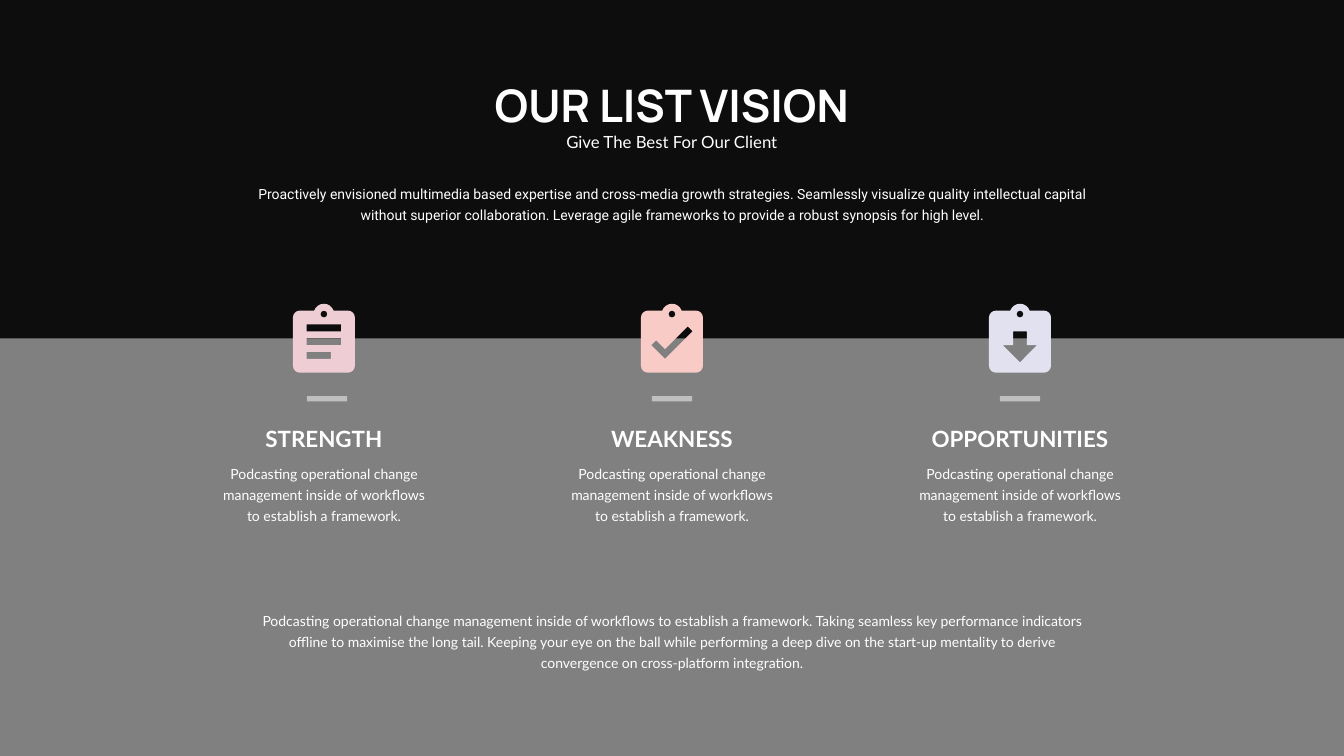
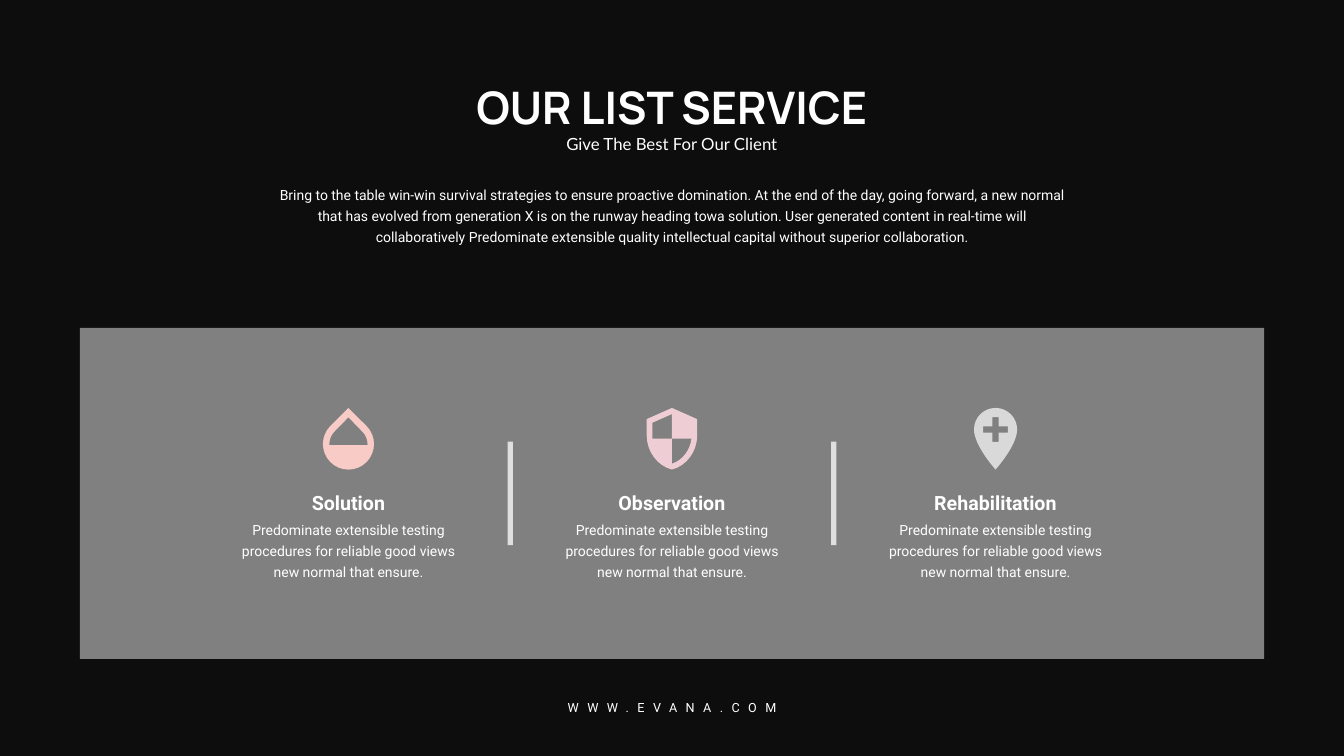
"""Build two dark slides: a list of visions and a list of services."""
from lxml import etree
from pptx import Presentation
from pptx.dml.color import RGBColor
from pptx.enum import shapes, text
from pptx.oxml.ns import qn
from pptx.util import Pt

BLACK, GREY, WHITE = "0D0D0D", "808080", "FFFFFF"
BAR, DIVIDER = "BFBFBF", "DFDFDF"
ROSE, CORAL, LILAC, SILVER = "EFCDD5", "F9CBC7", "E1E1EF", "D9D9D9"
WIDTH, HEIGHT, MID = 960, 540, 480

TITLE = {"name": "Manrope", "size": Pt(32), "bold": True}
SUBTITLE = {"name": "Lato", "size": Pt(12), "bold": False}
LATO_HEAD = {"name": "Lato", "size": Pt(16), "bold": True}
LATO_BODY = {"name": "Lato", "size": Pt(10), "bold": False}
ROBOTO_HEAD = {"name": "Roboto", "size": Pt(14), "bold": True}
ROBOTO_BODY = {"name": "Roboto", "size": Pt(10), "bold": False}
FOOTER = {"name": "Roboto", "size": Pt(9), "bold": False}


def box(left, top, right, bottom):
    """Return a rectangular contour on the icon grid."""
    return [(left, top), (right, top), (right, bottom), (left, bottom)]


BOARD = [
    [(19, 3), (14.82, 3), (14.4, 1.84, 13.3, 1, 12, 1),
     (10.7, 1, 9.6, 1.84, 9.18, 3), (5, 3), (3.9, 3, 3, 3.9, 3, 5),
     (3, 19), (3, 20.1, 3.9, 21, 5, 21), (19, 21),
     (20.1, 21, 21, 20.1, 21, 19), (21, 5), (21, 3.9, 20.1, 3, 19, 3)],
    [(12, 3), (12.55, 3, 13, 3.45, 13, 4), (13, 4.55, 12.55, 5, 12, 5),
     (11.45, 5, 11, 4.55, 11, 4), (11, 3.45, 11.45, 3, 12, 3)],
]
LIST_BOARD = BOARD + [box(7, 7, 17, 9), box(7, 11, 17, 13), box(7, 15, 14, 17)]
CHECK_BOARD = BOARD + [
    [(10, 17), (18, 9), (16.59, 7.58), (10, 14.17), (7.41, 11.59), (6, 13)]]
ARROW_BOARD = BOARD + [
    [(12, 18), (17, 13), (14, 13), (14, 9), (10, 9), (10, 13), (7, 13)]]
DROP = [
    [(17.66, 8), (12, 2.35), (6.34, 8), (4.78, 9.56, 4, 11.64, 4, 13.64),
     (4, 15.64, 4.78, 17.75, 6.34, 19.31),
     (7.9, 20.87, 9.95, 21.66, 12, 21.66),
     (14.05, 21.66, 16.1, 20.87, 17.66, 19.31),
     (19.22, 17.75, 20, 15.64, 20, 13.64), (20, 11.64, 19.22, 9.56, 17.66, 8)],
    [(6, 14), (6.01, 12, 6.62, 10.73, 7.76, 9.6), (12, 5.27), (16.24, 9.65),
     (17.38, 10.77, 17.99, 12, 18, 14)],
]
SHIELD = [
    [(12, 1), (3, 5), (3, 11), (3, 16.55, 6.84, 21.74, 12, 23),
     (17.16, 21.74, 21, 16.55, 21, 11), (21, 5)],
    [(12, 12), (19, 12), (18.47, 16.11, 15.72, 19.78, 12, 20.93)],
    [(12, 12), (5, 12), (5, 6.3), (12, 3.19)],
]
PIN = [
    [(12, 2), (8.13, 2, 5, 5.13, 5, 9), (5, 14.25, 12, 22, 12, 22),
     (12, 22, 19, 14.25, 19, 9), (19, 5.13, 15.87, 2, 12, 2)],
    [(16, 8), (13, 8), (13, 5), (11, 5), (11, 8), (8, 8),
     (8, 10), (11, 10), (11, 13), (13, 13), (13, 10), (16, 10)],
]


def color(value):
    """Turn a hex string into a colour."""
    return RGBColor.from_string(value)


def paint(sp, fill):
    """Give a shape a flat fill without line or shadow."""
    sp.shadow.inherit = False
    sp.fill.solid()
    sp.fill.fore_color.rgb = color(fill)
    sp.line.fill.background()


def add_rect(slide, left, top, width, height, fill):
    """Add a plain rectangle."""
    sp = slide.shapes.add_shape(shapes.MSO_SHAPE.RECTANGLE, Pt(left), Pt(top),
                                Pt(width), Pt(height))
    paint(sp, fill)
    return sp


def add_icon(slide, contours, center, top, unit, fill):
    """Draw grid contours as one curved outline centred on a column."""
    first_y = min(item[-1] for item in contours[0])

    def place(x, y):
        """Turn a grid point into a slide point."""
        return Pt(center + (x - 12) * unit), Pt(top + (y - first_y) * unit)

    builder = slide.shapes.build_freeform(*place(*contours[0][0]))
    for i, contour in enumerate(contours):
        if i:
            builder.move_to(*place(*contour[0]))
        builder.add_line_segments([place(*item[-2:]) for item in contour[1:]],
                                  close=True)
    sp = builder.convert_to_shape()
    items = [item for contour in contours for item in contour[1:]]
    for line, item in zip(list(sp.element.iter(qn("a:lnTo"))), items):
        if len(item) == 6:
            line.tag = qn("a:cubicBezTo")
            for i, control in enumerate((item[:2], item[2:4])):
                x, y = place(*control)
                pt = etree.Element(qn("a:pt"), x=str(x - sp.left),
                                   y=str(y - sp.top))
                line.insert(i, pt)
    paint(sp, fill)


def write(sp, content, style, spacing=None, tracking=None):
    """Fill a text shape with one centred white paragraph."""
    tf = sp.text_frame
    frame = {"word_wrap": True, "auto_size": text.MSO_AUTO_SIZE.NONE,
             "margin_left": 0, "margin_right": 0,
             "margin_top": 0, "margin_bottom": 0}
    for key, value in frame.items():
        setattr(tf, key, value)
    p = tf.paragraphs[0]
    p.alignment = text.PP_ALIGN.CENTER
    if spacing:
        p.line_spacing = Pt(spacing)
    r = p.add_run()
    r.text = content
    for key, value in style.items():
        setattr(r.font, key, value)
    r.font.color.rgb = color(WHITE)
    if tracking:
        r._r.get_or_add_rPr().set("spc", str(tracking * 100))


def add_text(slide, content, center, top, width, height, style, **options):
    """Add a text box centred on a column."""
    sp = slide.shapes.add_textbox(Pt(center - width / 2), Pt(top), Pt(width),
                                  Pt(height))
    write(sp, content, style, **options)


def add_slide(prs, title, top, subtitle_width):
    """Add a slide with its title and the shared subtitle."""
    slide = prs.slides.add_slide(prs.slide_layouts[5])
    sp = slide.shapes.title
    place = {"left": Pt(MID - 260), "top": Pt(top), "width": Pt(520),
             "height": Pt(35)}
    for key, value in place.items():
        setattr(sp, key, value)
    write(sp, title, TITLE, spacing=35)
    sp.text_frame.vertical_anchor = text.MSO_ANCHOR.MIDDLE
    add_text(slide, "Give The Best For Our Client", MID, top + 35.3,
             subtitle_width, 14.4, SUBTITLE)
    return slide


def add_backdrop(prs, slide):
    """Put the dark backdrop on the master, behind everything."""
    sp = add_rect(slide, 0, 0, WIDTH, HEIGHT, BLACK)
    sp.element.nvSpPr.cNvPr.set("id", "20")
    prs.slide_master.shapes.element.insert(2, sp.element)


def add_vision(prs):
    """Build the vision slide."""
    slide = add_slide(prs, "OUR LIST VISION", 59, 304)
    add_backdrop(prs, slide)
    add_rect(slide, 0, 241.7, WIDTH, HEIGHT - 241.7, GREY)
    add_text(slide, "Proactively envisioned multimedia based expertise and "
             "cross-media growth strategies. Seamlessly visualize quality "
             "intellectual capital without superior collaboration. Leverage "
             "agile frameworks to provide a robust synopsis for high level.",
             MID, 129.3, 599, 29, ROBOTO_BODY, spacing=15)
    columns = [("STRENGTH", LIST_BOARD, ROSE, 2.2),
               ("WEAKNESS", CHECK_BOARD, CORAL, 0),
               ("OPPORTUNITIES", ARROW_BOARD, LILAC, 0)]
    for i, (name, icon, fill, bar_shift) in enumerate(columns):
        center = MID + (i - 1) * 248.6
        add_icon(slide, icon, center, 217, 2.46, fill)
        add_rect(slide, center + bar_shift - 14.4, 283, 28.8, 3.7, BAR)
        add_text(slide, name, center, 303.8, 144, 19.4, LATO_HEAD)
        add_text(slide, "Podcasting operational change management inside of "
                 "workflows to establish a framework.",
                 center, 329.8, 154.8, 44, LATO_BODY, spacing=15)
    add_text(slide, "Podcasting operational change management inside of "
             "workflows to establish a framework. Taking seamless key "
             "performance indicators offline to maximise the long tail. "
             "Keeping your eye on the ball while performing a deep dive on "
             "the start-up mentality to derive convergence on cross-platform "
             "integration.", MID, 434.9, 588, 44, LATO_BODY, spacing=15)


def add_service(prs):
    """Build the service slide."""
    slide = add_slide(prs, "OUR LIST SERVICE", 60, 335)
    add_rect(slide, 57, 234.2, 846, 236.5, GREY)
    add_text(slide, "Bring to the table win-win survival strategies to ensure "
             "proactive domination. At the end of the day, going forward, a "
             "new normal that has evolved from generation X is on the runway "
             "heading towa solution. User generated content in real-time will "
             "collaboratively Predominate extensible quality intellectual "
             "capital without superior collaboration.",
             MID, 130, 568, 44, ROBOTO_BODY, spacing=15)
    pitch = 231.1
    columns = [("Solution", DROP, CORAL, 2.28),
               ("Observation", SHIELD, ROSE, 2),
               ("Rehabilitation", PIN, SILVER, 2.2)]
    for i, (name, icon, fill, unit) in enumerate(columns):
        center = MID + (i - 1) * pitch
        add_icon(slide, icon, center, 291.4, unit, fill)
        add_text(slide, name, center, 350.6, 155.5, 17, ROBOTO_HEAD)
        add_text(slide, "Predominate extensible testing procedures for "
                 "reliable good views new normal that ensure.",
                 center, 369.4, 155.5, 44, ROBOTO_BODY, spacing=15)
        if i:
            add_rect(slide, center - pitch / 2 - 1.85, 315.4, 3.7, 74, DIVIDER)
    add_text(slide, "WWW.EVANA.COM", MID, 499.7, 180, 11, FOOTER, tracking=6)


def main():
    """Build and save the presentation."""
    prs = Presentation()
    prs.slide_width, prs.slide_height = Pt(WIDTH), Pt(HEIGHT)
    add_vision(prs)
    add_service(prs)
    prs.save("out.pptx")


if __name__ == "__main__":
    main()
